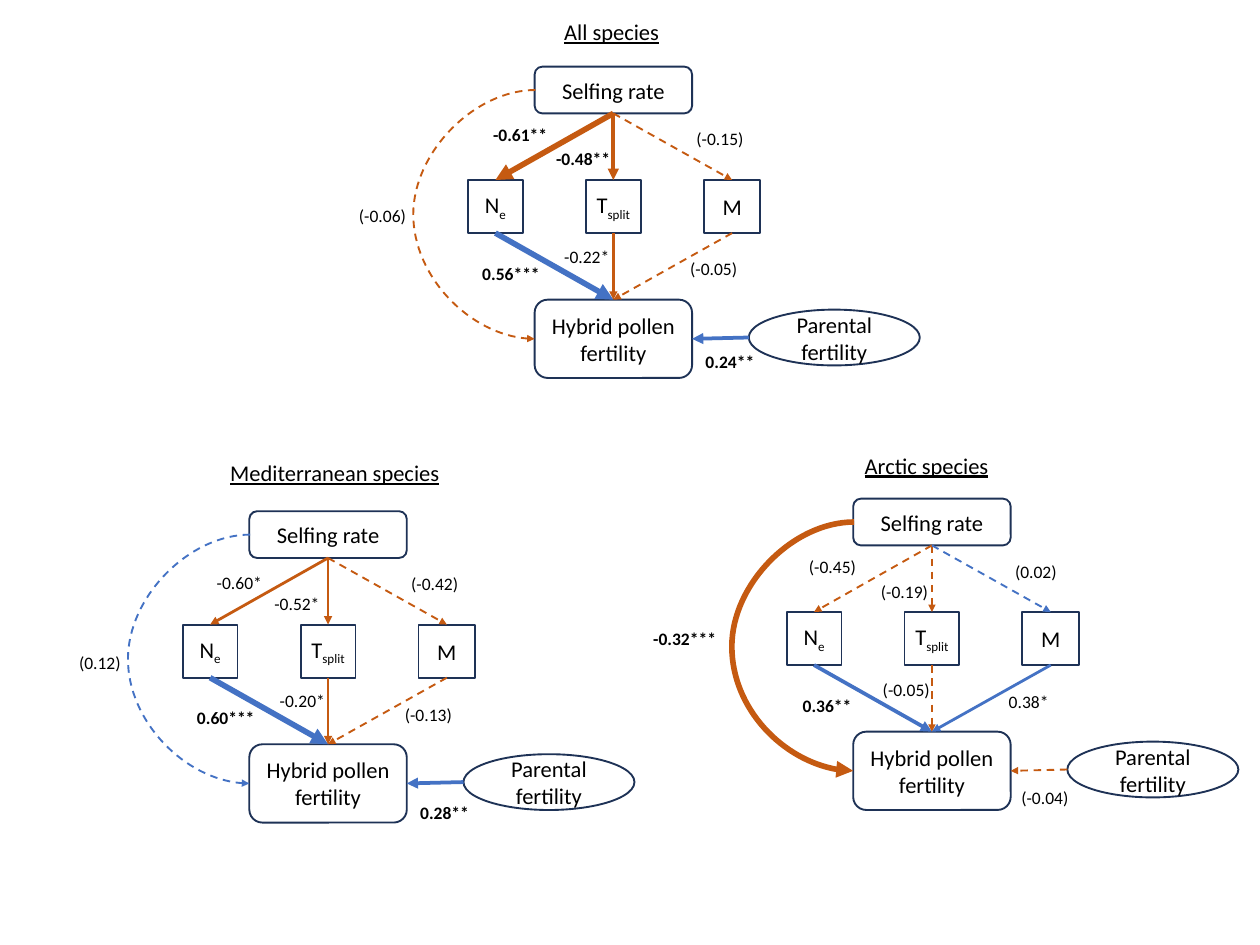
"""Build a slide of three path diagrams of selfing rate and hybrid fertility."""
from typing import NamedTuple

from lxml import etree
from pptx import Presentation
from pptx import util as u
from pptx.dml.color import RGBColor
from pptx.enum import dml, shapes, text
from pptx.oxml.ns import qn

PX = 9144
FONT = "Calibri"
NAVY = RGBColor(0x1E, 0x32, 0x56)
RUST = RGBColor(0xC5, 0x5A, 0x11)
BLUE = RGBColor(0x44, 0x72, 0xC4)
BLACK = RGBColor(0, 0, 0)
THIN = 1.5
BULGE = 138
KIND = shapes.MSO_SHAPE
TOP, LEFT, BASE, RIGHT = range(4)


class Node(NamedTuple):
    name: str
    kind: KIND
    x: int
    y: int
    w: int
    h: int
    sub: str = ""


class Path(NamedTuple):
    hue: RGBColor
    pt: float = THIN


class Label(NamedTuple):
    words: str
    x: int
    y: int
    w: int


class Panel(NamedTuple):
    dx: int
    dy: int
    title: Label
    paths: list[Path]
    labels: list[Label]


NODES = {
    "self": Node("Selfing rate", KIND.ROUNDED_RECTANGLE, 594, 74, 175, 52),
    "ne": Node("N", KIND.RECTANGLE, 520, 200, 61, 59, "e"),
    "split": Node("T", KIND.RECTANGLE, 651, 200, 61, 59, "split"),
    "m": Node("M", KIND.RECTANGLE, 782, 200, 63, 59),
    "parent": Node("Parental fertility", KIND.OVAL, 832, 344, 190, 62),
    "hybrid": Node("Hybrid pollen fertility", KIND.ROUNDED_RECTANGLE, 594, 333, 175, 87),
}

LINKS = [
    ("self", BASE, "ne", TOP),
    ("parent", LEFT, "hybrid", RIGHT),
    ("self", BASE, "split", TOP),
    ("ne", BASE, "hybrid", TOP),
    ("split", BASE, "hybrid", TOP),
    ("m", BASE, "hybrid", TOP),
    ("self", BASE, "m", TOP),
    ("self", LEFT, "hybrid", LEFT),
]

PANELS = [
    Panel(
        0, 0, Label("All species", 617, 15, 127),
        [Path(RUST, 4.5), Path(BLUE, 3), Path(RUST, 3), Path(BLUE, 4.5),
         Path(RUST, 2.25), Path(RUST), Path(RUST), Path(RUST)],
        [Label("(-0.05)", 757, 282, 73), Label("(-0.06)", 389, 223, 73),
         Label("(-0.15)", 764, 137, 73), Label("0.56***", 526, 287, 85),
         Label("-0.22*", 617, 268, 71), Label("0.24**", 774, 385, 75),
         Label("-0.61**", 538, 133, 81), Label("-0.48**", 608, 160, 81)],
    ),
    Panel(
        -317, 494, Label("Mediterranean species", 246, 505, 255),
        [Path(RUST, 2.25), Path(BLUE, 3), Path(RUST, 2.25), Path(BLUE, 4.5),
         Path(RUST, 2.25), Path(RUST), Path(RUST), Path(BLUE)],
        [Label("(-0.13)", 440, 777, 73), Label("(0.12)", 78, 719, 67),
         Label("(-0.42)", 447, 632, 73), Label("0.60***", 209, 781, 85),
         Label("-0.20*", 301, 762, 71), Label("0.28**", 457, 886, 75),
         Label("-0.60*", 231, 631, 71), Label("-0.52*", 295, 654, 71)],
    ),
    Panel(
        354, 480, Label("Arctic species", 951, 497, 159),
        [Path(RUST), Path(RUST), Path(RUST), Path(BLUE, 3),
         Path(RUST), Path(BLUE, 2.25), Path(BLUE), Path(RUST, 4.5)],
        [Label("0.38*", 1111, 763, 65), Label("-0.32***", 716, 693, 90),
         Label("(0.02)", 1118, 618, 67), Label("0.36**", 882, 767, 75),
         Label("(-0.05)", 971, 749, 73), Label("(-0.04)", 1125, 869, 73),
         Label("(-0.45)", 889, 613, 73), Label("(-0.19)", 969, 641, 73)],
    ),
]


def add_run(para, words: str, size: int):
    """Add one run of black text."""
    run = para.add_run()
    run.text = words
    run.font.name = FONT
    run.font.size = u.Pt(size)
    run.font.color.rgb = BLACK
    return run


def draw_node(slide, node: Node, dx: int, dy: int):
    """Draw one outlined node."""
    box = slide.shapes.add_shape(
        node.kind, (node.x + dx) * PX, (node.y + dy) * PX, node.w * PX, node.h * PX)
    box.shadow.inherit = False
    box.fill.background()
    box.line.color.rgb = NAVY
    box.line.width = u.Pt(1.5)
    para = box.text_frame.paragraphs[0]
    para.alignment = text.PP_ALIGN.CENTER
    add_run(para, node.name, 18)
    if node.sub:
        run = add_run(para, node.sub, 18)
        run.font._element.set("baseline", "-25000")
    return box


def site(box, side: int) -> tuple[int, int]:
    """Give the middle of one side of a node."""
    across = {LEFT: 0, RIGHT: box.width}.get(side, box.width // 2)
    down = {TOP: 0, BASE: box.height}.get(side, box.height // 2)
    return box.left + across, box.top + down


def draw_path(slide, path: Path, head, out: int, tail, into: int) -> None:
    """Draw one arrow, curved when it leaves and enters on the left."""
    bent = out == into
    x, y = site(head, out)
    kind = shapes.MSO_CONNECTOR.CURVE if bent else shapes.MSO_CONNECTOR.STRAIGHT
    line = slide.shapes.add_connector(kind, x + PX if bent else x, y, *site(tail, into))
    props = line._element.spPr
    if bent:
        guides = props.find(qn("a:prstGeom")).find(qn("a:avLst"))
        etree.SubElement(guides, qn("a:gd"), name="adj1", fmla=f"val {BULGE * 100000}")
    else:
        if head.auto_shape_type != KIND.OVAL:
            line.begin_connect(head, out)
        line.end_connect(tail, into)
    line.line.color.rgb = path.hue
    line.line.width = u.Pt(path.pt)
    if path.pt == THIN:
        line.line.dash_style = dml.MSO_LINE.DASH
    etree.SubElement(props.find(qn("a:ln")), qn("a:tailEnd"), type="triangle")
    etree.SubElement(props, qn("a:effectLst"))


def draw_label(slide, label: Label, title: bool = False) -> None:
    """Write a title or a path value."""
    box = slide.shapes.add_textbox(
        label.x * PX, label.y * PX, label.w * PX, (40 if title else 34) * PX)
    box.text_frame.word_wrap = False
    box.text_frame.auto_size = text.MSO_AUTO_SIZE.SHAPE_TO_FIT_TEXT
    run = add_run(box.text_frame.paragraphs[0], label.words, 18 if title else 14)
    run.font.underline = title
    run.font.bold = label.words.endswith("**")


def draw_panel(slide, panel: Panel) -> None:
    """Draw one path diagram."""
    boxes = {key: draw_node(slide, node, panel.dx, panel.dy) for key, node in NODES.items()}
    for path, (head, out, tail, into) in zip(panel.paths, LINKS):
        draw_path(slide, path, boxes[head], out, boxes[tail], into)
    for label in panel.labels:
        draw_label(slide, label)
    draw_label(slide, panel.title, title=True)


def main() -> None:
    """Build and save the slide."""
    deck = Presentation()
    deck.slide_width, deck.slide_height = 1400 * PX, 1050 * PX
    slide = deck.slides.add_slide(deck.slide_layouts[6])
    for panel in PANELS:
        draw_panel(slide, panel)
    deck.save("out.pptx")


if __name__ == "__main__":
    main()
